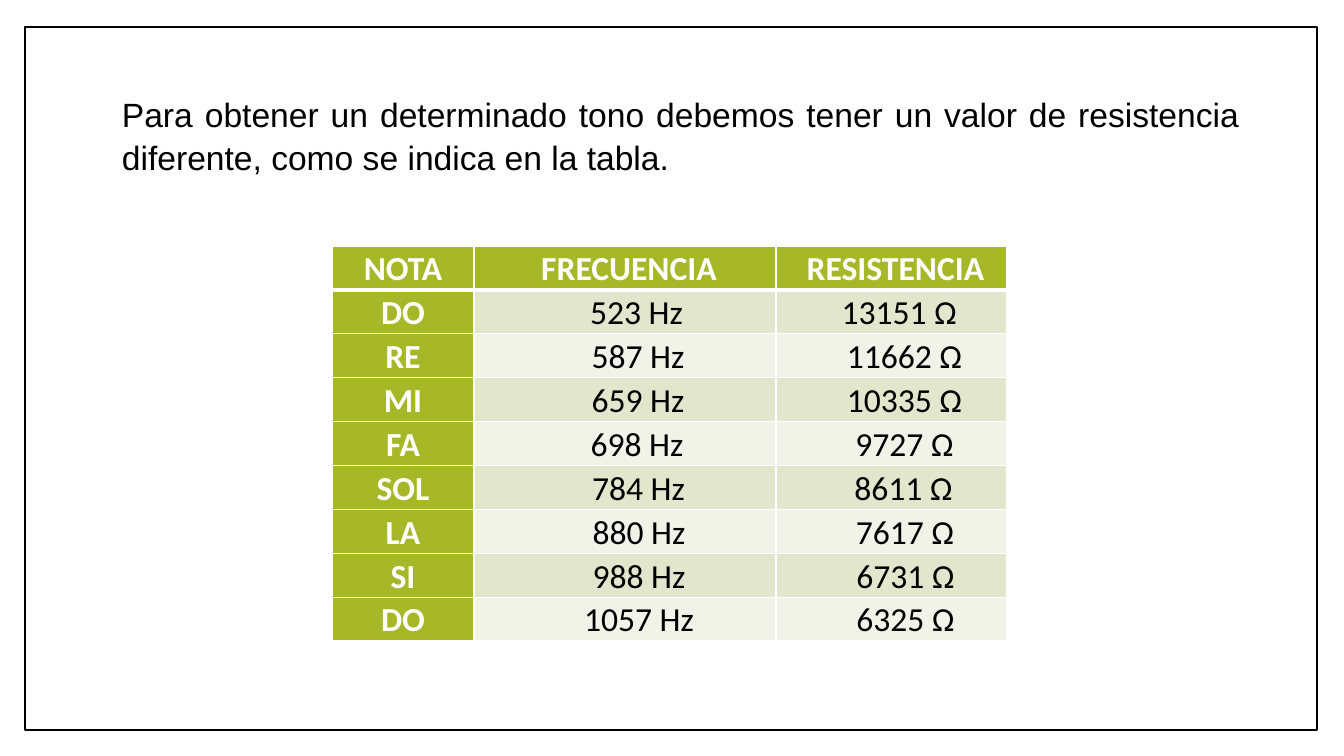
from lxml import etree
from pptx import Presentation
from pptx import util as u
from pptx.dml.color import RGBColor
from pptx.enum import shapes, text
from pptx.oxml.ns import qn

PX = u.Inches(1) / 100.8
COLORS = {"white": "FFFFFF", "black": "000000", "green": "A6B727",
          "dark band": "E1E6CD", "light band": "F1F3E8"}
COLUMNS = [142, 302, 231]
HEADINGS = [("NOTA", 0), ("FRECUENCIA", 8), ("RESISTENCIA", 8)]
NOTES = [
    [("DO", 0), ("523 Hz", 23), ("13151 Ω ", 23)],
    [("RE", 0), ("587 Hz", 26), ("11662 Ω", 26)],
    [("MI", 0), ("659 Hz", 26), ("10335 Ω", 26)],
    [("FA", 0), ("698 Hz", 24), ("9727 Ω", 26)],
    [("SOL", 0), ("784 Hz", 27), ("8611 Ω", 24)],
    [("LA", 0), ("880 Hz", 28), ("7617 Ω", 27)],
    [("SI", 0), ("988 Hz", 28), ("6731 Ω", 28)],
    [("DO", 0), ("1057 Hz", 28), ("6325 Ω", 28)],
]


def px(length):
    """Turn a length in px into EMU."""
    return u.Emu(round(length * PX))


def color(name):
    """Look up a named colour."""
    return RGBColor.from_string(COLORS[name])


def format_text(para, font, ink, align, bold=False):
    """Format a paragraph and its runs."""
    para.alignment = align
    para.line_spacing = 1.07
    for span in para.runs:
        span.font.name = font
        span.font.size = u.Pt(24)
        span.font.bold = bold
        span.font.color.rgb = color(ink)


def add_frame(page, left, top, width, height):
    """Draw the black frame around the page."""
    frame = page.shapes.add_shape(shapes.MSO_SHAPE.RECTANGLE,
                                  px(left), px(top), px(width), px(height))
    frame.shadow.inherit = False
    frame.fill.solid()
    frame.fill.fore_color.rgb = color("white")
    frame.line.color.rgb = color("black")
    frame.line.width = u.Pt(1)


def add_intro(page, left, top, width, height):
    """Write the justified introduction."""
    box = page.shapes.add_textbox(px(left), px(top), px(width), px(height))
    box.text_frame.word_wrap = True
    box.text_frame.text = ("Para obtener un determinado tono debemos tener un valor de "
                           "resistencia diferente, como se indica en la tabla.")
    para = box.text_frame.paragraphs[0]
    format_text(para, "Arial", "black", text.PP_ALIGN.JUSTIFY)
    para.space_after = u.Pt(8)


def set_borders(cell, top, bottom):
    """Give a cell white borders with the given top and bottom widths in points."""
    properties = cell._tc.get_or_add_tcPr()
    widths = {"a:lnL": 1, "a:lnR": 1, "a:lnT": top, "a:lnB": bottom}
    for position, (side, width) in enumerate(widths.items()):
        line = etree.Element(qn(side), w=str(u.Pt(width)))
        fill = etree.SubElement(line, qn("a:solidFill"))
        etree.SubElement(fill, qn("a:srgbClr"), val=COLORS["white"])
        properties.insert(position, line)


def fill_cell(cell, label, indent, fill, strong):
    """Write a centred label into a filled cell."""
    cell.margin_left = cell.margin_right = px(7)
    cell.margin_top = cell.margin_bottom = 0
    cell.fill.solid()
    cell.fill.fore_color.rgb = color(fill)
    cell.text_frame.text = label
    para = cell.text_frame.paragraphs[0]
    format_text(para, "Calibri", "white" if strong else "black",
                text.PP_ALIGN.CENTER, strong)
    para_properties = para._p.get_or_add_pPr()
    para_properties.set("marL", str(px(indent)))
    para_properties.set("indent", "0")


def add_notes_table(page, left, top, width, height):
    """Build the table of notes, frequencies and resistances."""
    rows = [HEADINGS] + NOTES
    table = page.shapes.add_table(len(rows), len(COLUMNS), px(left), px(top),
                                  px(width), px(height)).table
    table.horz_banding = False
    for column, share in zip(table.columns, COLUMNS):
        column.width = px(width * share / sum(COLUMNS))
    for r, row in enumerate(rows):
        table.rows[r].height = px(height / len(rows))
        band = "dark band" if r % 2 else "light band"
        for c, (label, indent) in enumerate(row):
            strong = r == 0 or c == 0
            cell = table.cell(r, c)
            fill_cell(cell, label, indent, "green" if strong else band, strong)
            set_borders(cell, 3 if r == 1 else 1, 3 if r == 0 else 1)


def main():
    """Build the deck."""
    deck = Presentation()
    deck.slide_width, deck.slide_height = px(1344), px(756)
    page = deck.slides.add_slide(deck.slide_layouts[6])
    add_frame(page, 25, 27, 1292, 703)
    add_notes_table(page, 332, 246, 675, 369)
    add_intro(page, 112, 86, 1137, 94)
    deck.save("out.pptx")


if __name__ == "__main__":
    main()
